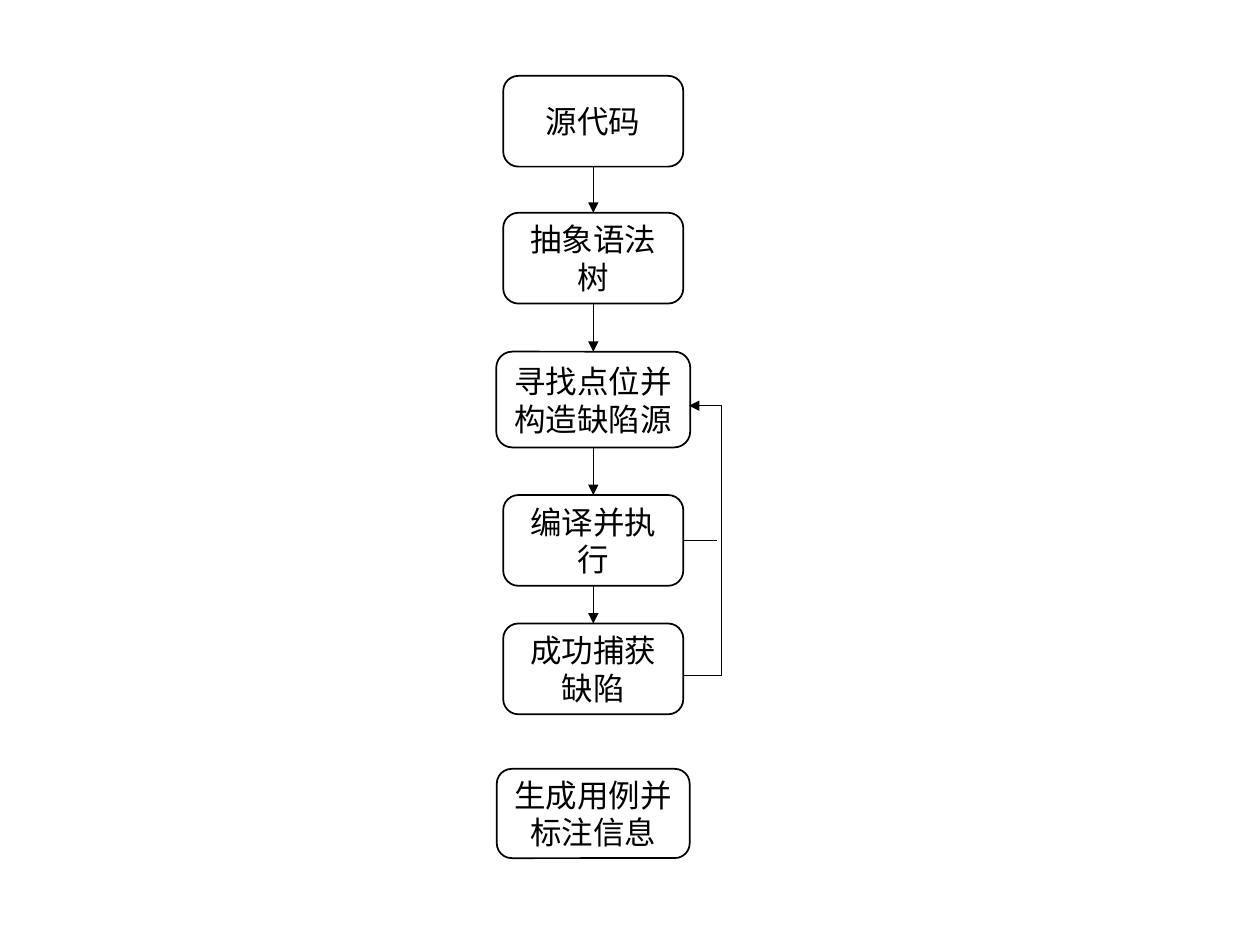
from dataclasses import dataclass

from lxml import etree
from pptx import Presentation
from pptx import util as u
from pptx.dml.color import RGBColor
from pptx.enum import shapes, text
from pptx.oxml import ns

BLACK = RGBColor(0, 0, 0)
WHITE = RGBColor(255, 255, 255)
FONT = "Calibri"
CENTER_X = 11.96  # cm, axis of the flow
BOTTOM, RIGHT, TOP = 2, 3, 0
ALTERNATE = shapes.MSO_SHAPE.FLOWCHART_ALTERNATE_PROCESS


@dataclass
class Step:
    label: str
    top: float
    width: float = 3.63
    height: float = 1.83
    outline: shapes.MSO_SHAPE = ALTERNATE


STEPS = [
    Step("源代码", 1.53),
    Step("抽象语法树", 4.29),
    Step("寻找点位并构造缺陷源", 7.09, 3.91, 1.93),
    Step("编译并执行", 9.98),
    Step("成功捕获缺陷", 12.57),
    Step("生成用例并标注信息", 15.5, 3.89, 1.8, shapes.MSO_SHAPE.ROUNDED_RECTANGLE),
]


def add_step(slide, step: Step):
    shape = slide.shapes.add_shape(
        step.outline, u.Cm(CENTER_X - step.width / 2), u.Cm(step.top),
        u.Cm(step.width), u.Cm(step.height))
    shape.shadow.inherit = False
    shape.fill.solid()
    shape.fill.fore_color.rgb = WHITE
    shape.line.color.rgb = BLACK
    shape.line.width = u.Pt(1)
    frame = shape.text_frame
    frame.word_wrap = True
    frame.vertical_anchor = text.MSO_ANCHOR.MIDDLE
    frame.text = step.label
    paragraph = frame.paragraphs[0]
    paragraph.alignment = text.PP_ALIGN.CENTER
    font = paragraph.runs[0].font
    font.name, font.size = FONT, u.Pt(18)
    font.color.rgb = BLACK
    return shape


def add_line(slide, start: tuple[float, float], end: tuple[float, float],
             arrow: bool = True, kind=shapes.MSO_CONNECTOR.STRAIGHT):
    connector = slide.shapes.add_connector(
        kind, *(u.Cm(value) for value in (*start, *end)))
    connector.line.color.rgb = BLACK
    connector.line.width = u.Pt(0.5)
    if arrow:
        line = connector.line._get_or_add_ln()
        etree.SubElement(line, ns.qn("a:tailEnd"), type="triangle")
    etree.SubElement(connector._element.spPr, ns.qn("a:effectLst"))
    return connector


def set_bend(connector, bend_x: float) -> None:
    """Place the vertical run of an elbow connector at bend_x (cm)."""
    ratio = (u.Cm(bend_x) - connector.begin_x) / (connector.end_x - connector.begin_x)
    guides = connector._element.spPr.find(ns.qn("a:prstGeom")).find(ns.qn("a:avLst"))
    etree.SubElement(guides, ns.qn("a:gd"), name="adj1",
                     fmla=f"val {round(ratio * 100000)}")


def main() -> None:
    presentation = Presentation()
    presentation.slide_width, presentation.slide_height = u.Cm(25.4), u.Cm(19.05)
    slide = presentation.slides.add_slide(presentation.slide_layouts[6])

    # Steps of the flow
    boxes = [add_step(slide, step) for step in STEPS]

    # Arrows between consecutive steps; the last step stands alone
    for number in range(len(STEPS) - 2):
        upper, lower = STEPS[number:number + 2]
        arrow = add_line(slide, (CENTER_X, upper.top + upper.height),
                         (CENTER_X, lower.top))
        arrow.begin_connect(boxes[number], BOTTOM)
        arrow.end_connect(boxes[number + 1], TOP)

    # Feedback loop to the construction step
    loop = add_line(slide, (13.77, 13.61), (13.89, 8.18),
                    kind=shapes.MSO_CONNECTOR.ELBOW)
    set_bend(loop, 14.54)

    # Branch from the compile step towards the loop
    compile_step = STEPS[3]
    middle = compile_step.top + compile_step.height / 2
    branch = add_line(slide, (13.77, middle), (14.45, middle), arrow=False)
    branch.begin_connect(boxes[3], RIGHT)

    presentation.save("out.pptx")


if __name__ == "__main__":
    main()
